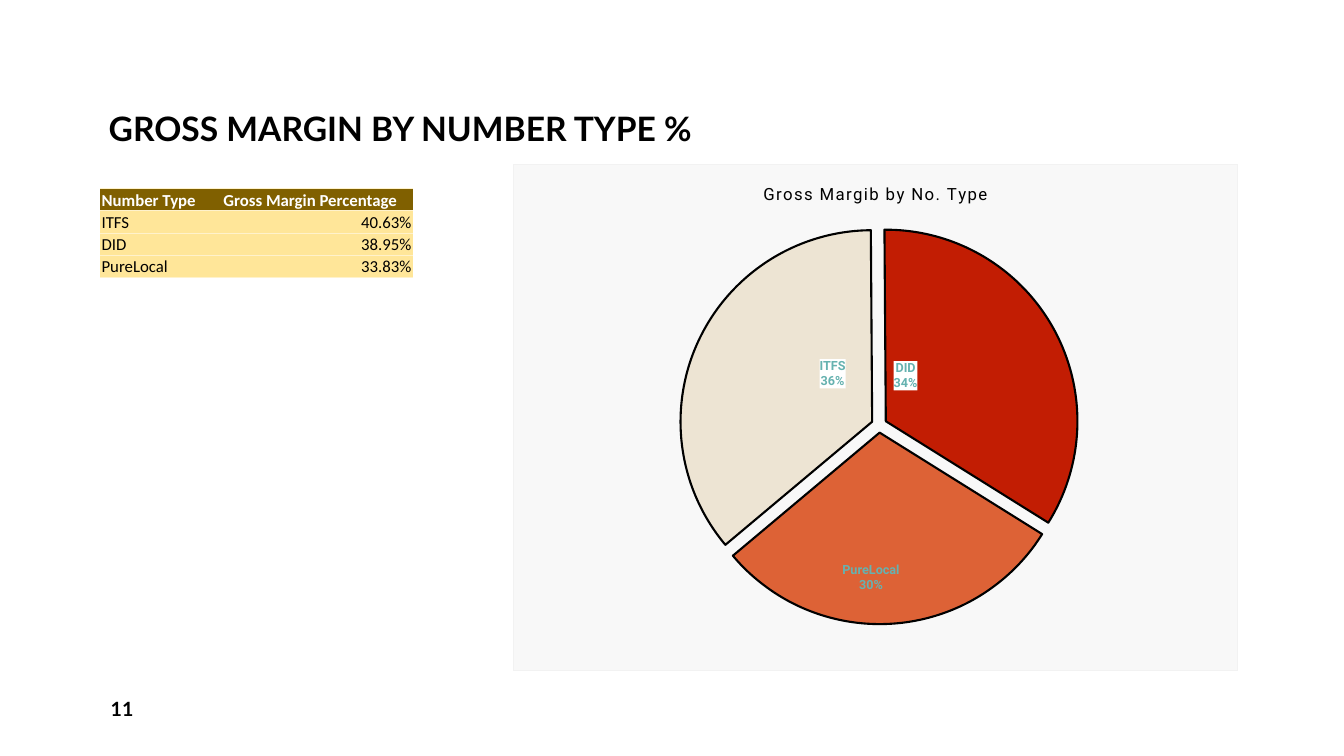
from pptx import Presentation
from pptx.chart.data import CategoryChartData
from pptx.dml.color import RGBColor
from pptx.enum.chart import XL_CHART_TYPE
from pptx.enum.text import MSO_ANCHOR, PP_ALIGN
from pptx.oxml import parse_xml
from pptx.oxml.ns import nsdecls
from pptx.util import Cm, Pt

NS = nsdecls("a", "c")
MARGINS = [("ITFS", "40.63%"), ("DID", "38.95%"), ("PureLocal", "33.83%")]
# share, slice colour, label shift (x, y), label fill
SLICES = [
    (36, "EDE4D3", (0.16, 0.03), "<a:solidFill><a:srgbClr val='FFFFFF'/></a:solidFill>"),
    (34, "C21D03", (-0.18, 0.06), "<a:solidFill><a:srgbClr val='FFFFFF'/></a:solidFill>"),
    (30, "DD6236", (-0.03, -0.05), "<a:noFill/>"),
]


def rgb(value):
    return RGBColor.from_string(value)


def style(font, name="Lato", size=12, color="000000", bold=False):
    font.name, font.size, font.bold = name, Pt(size), bold
    font.color.rgb = rgb(color)


def add_text(tf, text, anchor=MSO_ANCHOR.MIDDLE, align=PP_ALIGN.LEFT, spacing=None, **font):
    tf.word_wrap = True
    tf.vertical_anchor = anchor
    p = tf.paragraphs[0]
    p.alignment, p.line_spacing = align, spacing
    r = p.add_run()
    r.text = text
    style(r.font, **font)


def text_box(s, box, text, **fmt):
    add_text(s.shapes.add_textbox(*map(Cm, box)).text_frame, text, **fmt)


def set_borders(cell):
    tcPr = cell._tc.get_or_add_tcPr()
    line = "<a:solidFill><a:srgbClr val='FFF2CC'/></a:solidFill>"
    sides = [("lnL", "<a:noFill/>"), ("lnR", "<a:noFill/>"), ("lnT", line), ("lnB", line)]
    for i, (side, fill) in enumerate(sides):
        tcPr.insert(i, parse_xml(f"<a:{side} {NS} w='6350'>{fill}</a:{side}>"))


def margin_table(s, left, top, widths, row_height):
    rows = [("Number Type", "Gross Margin Percentage")] + MARGINS
    table = s.shapes.add_table(len(rows), 2, Cm(left), Cm(top), Cm(sum(widths)),
                               Cm(row_height * len(rows))).table
    table.horz_banding = False
    for column, width in zip(table.columns, widths):
        column.width = Cm(width)
    for i, row in enumerate(rows):
        table.rows[i].height = Cm(row_height)
        for j, text in enumerate(row):
            cell = table.cell(i, j)
            cell.margin_left = cell.margin_right = cell.margin_top = Cm(0.03)
            cell.margin_bottom = 0
            cell.fill.solid()
            cell.fill.fore_color.rgb = rgb("FFE699" if i else "806000")
            add_text(cell.text_frame, text, MSO_ANCHOR.BOTTOM,
                     PP_ALIGN.RIGHT if i and j else PP_ALIGN.LEFT, name="Calibri",
                     color="000000" if i else "FFFFFF", bold=not i)
            cell.vertical_anchor = MSO_ANCHOR.BOTTOM
            set_borders(cell)


def manual_layout(x, y, extra="", mode=""):
    return (f"<c:layout {NS}><c:manualLayout>{mode}<c:x val='{x}'/><c:y val='{y}'/>"
            f"{extra}</c:manualLayout></c:layout>")


def pie_labels():
    text = ("<c:txPr><a:bodyPr/><a:p><a:pPr><a:defRPr sz='900' b='1'><a:solidFill>"
            "<a:srgbClr val='66B2B0'/></a:solidFill><a:latin typeface='Roboto'/></a:defRPr>"
            "</a:pPr><a:endParaRPr/></a:p></c:txPr>")
    shows = "".join(f"<c:show{key} val='{flag}'/>" for key, flag in [
        ("LegendKey", 0), ("Val", 0), ("CatName", 1), ("SerName", 0),
        ("Percent", 1), ("BubbleSize", 0)])
    tail = f"{text}<c:dLblPos val='inEnd'/>{shows}<c:separator>\n</c:separator>"
    number = "<c:numFmt formatCode='0%' sourceLinked='0'/>"
    points = "".join(
        f"<c:dLbl><c:idx val='{i}'/>{manual_layout(*shift)}{number}"
        f"<c:spPr>{fill}</c:spPr>{tail}</c:dLbl>"
        for i, (_, _, shift, fill) in enumerate(SLICES))
    return parse_xml(f"<c:dLbls {NS}>{points}{number}{tail}"
                     "<c:showLeaderLines val='0'/></c:dLbls>")


def margin_pie(s, box):
    data = CategoryChartData()
    data.categories = [name for name, _ in MARGINS]
    data.add_series("Series 1", [share for share, *_ in SLICES])
    chart = s.shapes.add_chart(XL_CHART_TYPE.PIE, *map(Cm, box), data).chart
    style(chart.font, "Roboto", 10)
    chart.has_legend = False

    # Title
    chart.has_title = True
    p = chart.chart_title.text_frame.paragraphs[0]
    r = p.add_run()
    r.text = "Gross Margib by No. Type"
    style(r.font, "Roboto", 12)
    r.font._element.set("spc", "100")

    # Slices
    plot = chart.plots[0]
    plot.vary_by_categories = True
    series = plot.series[0]
    for i, (_, color, *_) in enumerate(SLICES):
        fmt = series.points[i].format
        fmt.fill.solid()
        fmt.fill.fore_color.rgb = rgb(color)
        fmt.line.color.rgb = rgb("000000")
        fmt.line.width = Pt(1.5)
    ser = series._element
    ser.dPt_lst[0].addprevious(parse_xml(f"<c:explosion {NS} val='4'/>"))
    ser.dPt_lst[-1].addnext(pie_labels())

    # Rotation and plot area
    pie = ser.getparent()
    for angle in pie.findall(ser.tag.replace("}ser", "}firstSliceAng")):
        pie.remove(angle)
    pie.append(parse_xml(f"<c:firstSliceAng {NS} val='230'/>"))
    area = pie.getparent()
    for layout in area.findall(ser.tag.replace("}ser", "}layout")):
        area.remove(layout)
    mode = "<c:layoutTarget val='inner'/><c:xMode val='edge'/><c:yMode val='edge'/>"
    size = "<c:w val='0.55'/><c:h val='0.79'/>"
    area.insert(0, parse_xml(manual_layout(0.23, 0.12, size, mode)))

    # Background
    area.getparent().addnext(parse_xml(
        f"<c:spPr {NS}><a:solidFill><a:srgbClr val='F2F2F2'><a:alpha val='50000'/></a:srgbClr>"
        "</a:solidFill><a:ln w='9525'><a:solidFill><a:srgbClr val='F2F2F2'/></a:solidFill>"
        "</a:ln></c:spPr>"))


def main():
    prs = Presentation()
    prs.slide_width, prs.slide_height = Cm(33.87), Cm(19.05)
    s = prs.slides.add_slide(prs.slide_layouts[6])
    text_box(s, (2.49, 0.2, 28.91, 3.68), "GROSS MARGIN BY NUMBER TYPE %",
             anchor=MSO_ANCHOR.BOTTOM, spacing=0.9, size=24, bold=True)
    margin_table(s, 2.53, 4.75, (3.07, 4.8), 0.56)
    margin_pie(s, (12.92, 4.13, 18.29, 12.78))
    text_box(s, (2.54, 17.35, 7.42, 1.02), "11", size=14, bold=True)
    prs.save("out.pptx")


if __name__ == "__main__":
    main()
